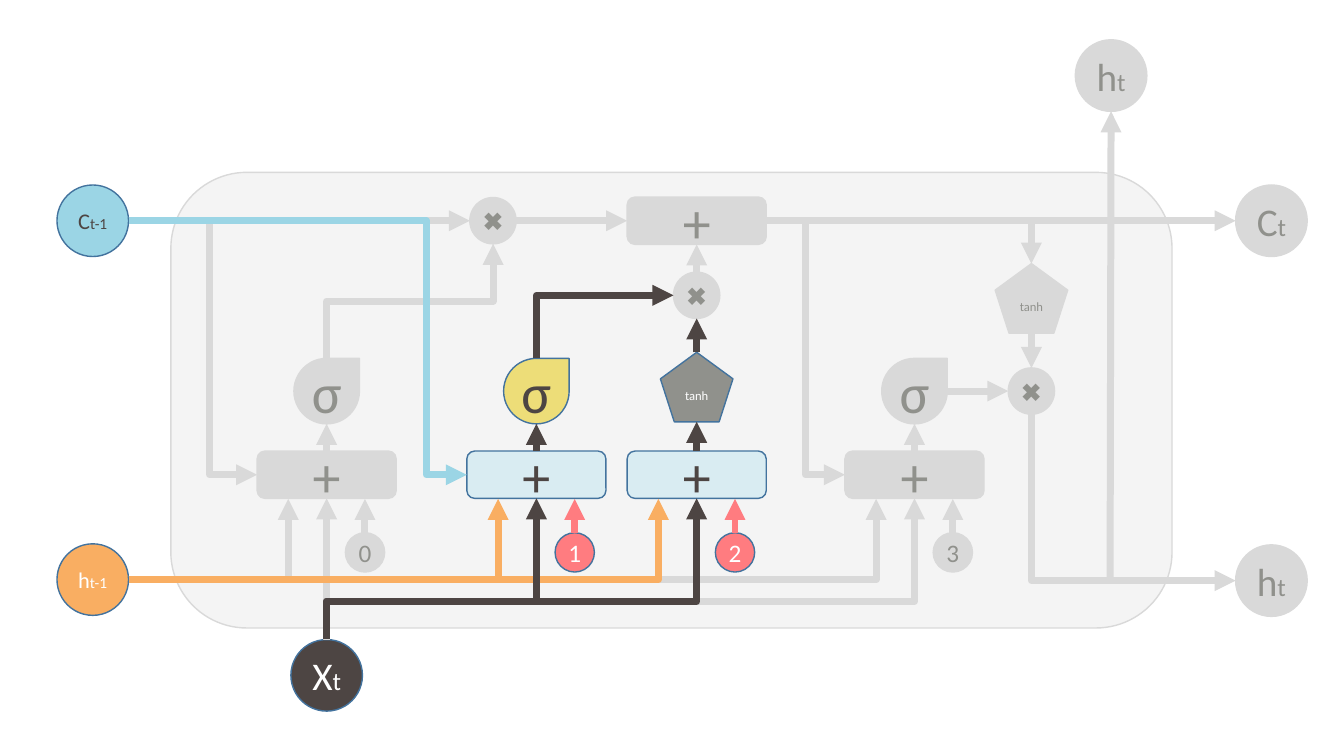
from lxml import etree
from pptx import Presentation
from pptx.dml.color import RGBColor
from pptx.enum.shapes import MSO_CONNECTOR, MSO_SHAPE
from pptx.enum.text import MSO_ANCHOR, PP_ALIGN
from pptx.oxml.ns import qn
from pptx.util import Inches, Pt

WHITE = RGBColor(0xFF, 0xFF, 0xFF)
PANEL = RGBColor(0xF4, 0xF4, 0xF4)
GREY = RGBColor(0xD9, 0xD9, 0xD9)
DIM = RGBColor(0x90, 0x91, 0x8C)
DARK = RGBColor(0x4D, 0x45, 0x43)
OUTLINE = RGBColor(0x43, 0x73, 0x9E)
BLUE = RGBColor(0x9B, 0xD5, 0xE5)
PALE_BLUE = RGBColor(0xD9, 0xEC, 0xF2)
ORANGE = RGBColor(0xF9, 0xAE, 0x62)
RED = RGBColor(0xFF, 0x7C, 0x80)
YELLOW = RGBColor(0xED, 0xDD, 0x78)

BOX = MSO_SHAPE.ROUNDED_RECTANGLE
CIRCLE = MSO_SHAPE.OVAL
TEAR = MSO_SHAPE.TEAR
PENTAGON = MSO_SHAPE.REGULAR_PENTAGON
STRAIGHT = MSO_CONNECTOR.STRAIGHT
ELBOW = MSO_CONNECTOR.ELBOW
CENTER = PP_ALIGN.CENTER
MIDDLE = MSO_ANCHOR.MIDDLE

# Position of each side as a fraction of the shape's width and height
SIDES = {"top": (0.5, 0), "left": (0, 0.5), "bottom": (0.5, 1), "right": (1, 0.5)}
# Connection site numbers of each preset
SITES = {
    BOX: {"top": 0, "left": 1, "bottom": 2, "right": 3},
    CIRCLE: {"top": 0, "left": 2, "bottom": 4, "right": 6},
    TEAR: {"right": 0, "bottom": 2, "left": 4, "top": 6},
    PENTAGON: {"top": 0, "bottom": 3},
}


class Diagram:
    """Holds the style and the slide being drawn."""

    font = "Calibri"
    outline_width = Pt(1)
    arrow_width = Pt(5)

    def __init__(self, slide):
        """Start drawing on the slide."""
        self.slide = slide

    def node(self, kind, center, size, runs=(), fill=GREY, ink=DIM, line=None):
        """Add a preset shape by centre and size; runs are (text, points)."""
        (x, y), (width, height) = center, size
        shape = self.slide.shapes.add_shape(
            kind, Inches(x - width / 2), Inches(y - height / 2),
            Inches(width), Inches(height))
        shape.shadow.inherit = False
        shape.fill.solid()
        shape.fill.fore_color.rgb = fill
        shape.line.color.rgb = line or (GREY if fill in (GREY, PANEL) else OUTLINE)
        shape.line.width = self.outline_width
        frame = shape.text_frame
        frame.margin_left = frame.margin_right = 0
        frame.margin_top = frame.margin_bottom = 0
        frame.word_wrap = False
        frame.vertical_anchor = MIDDLE
        paragraph = frame.paragraphs[0]
        paragraph.alignment = CENTER
        for text, points in runs:
            run = paragraph.add_run()
            run.text = text
            run.font.name = self.font
            run.font.size = Pt(points)
            run.font.color.rgb = ink
        return shape

    def state(self, letter, index, center, fill=GREY, ink=DIM, sizes=(28, 18)):
        """Add a round input or output with a small index."""
        return self.node(CIRCLE, center, (0.71, 0.71),
                         [(letter, sizes[0]), (index, sizes[1])], fill, ink)

    def plus(self, center, fill=GREY, ink=DIM):
        """Add an addition box."""
        return self.node(BOX, center, (1.38, 0.47), [("+", 40)], fill, ink)

    def times(self, center):
        """Add a multiplication circle."""
        return self.node(CIRCLE, center, (0.46, 0.46), [("✖", 18)])

    def sigmoid(self, center, fill=GREY, ink=DIM):
        """Add a sigmoid drop."""
        return self.node(TEAR, center, (0.65, 0.65), [("σ", 40)], fill, ink)

    def tanh(self, center, fill=GREY, ink=DIM):
        """Add a tanh pentagon."""
        return self.node(PENTAGON, center, (0.72, 0.69), [("tanh", 9)], fill, ink)

    def locate(self, end):
        """Return the point of an end: (shape, side) or (x, y) in inches."""
        if end[1] not in SIDES:
            return Inches(end[0]), Inches(end[1])
        shape, side = end
        across, down = SIDES[side]
        return (shape.left + round(shape.width * across),
                shape.top + round(shape.height * down))

    def arrow(self, start, end, color=GREY):
        """Add a straight arrow."""
        return self.finish(self.slide.shapes.add_connector(
            STRAIGHT, *self.locate(start), *self.locate(end)), start, end, color)

    def elbow(self, start, end, color=GREY, bend=None, vertical=False):
        """Add an elbow arrow; without a bend it has a single corner."""
        (x1, y1), (x2, y2) = self.locate(start), self.locate(end)
        if vertical:
            # The box is laid on its side around the same centre
            width, height = abs(y2 - y1), abs(x2 - x1)
            left, top = (x1 + x2 - width) // 2, (y1 + y2 - height) // 2
            connector = self.slide.shapes.add_connector(
                ELBOW, left, top, left + width, top + height)
            frame = connector._element.spPr.find(qn("a:xfrm"))
            rising = y2 < y1
            frame.set("rot", str((90 if rising else 270) * 60000))
            frame.set("flipH", "1")
            if rising:
                frame.set("flipV", "1")
        else:
            connector = self.slide.shapes.add_connector(ELBOW, x1, y1, x2, y2)
        geometry = connector._element.spPr.find(qn("a:prstGeom"))
        if bend is None:
            geometry.set("prst", "bentConnector2")
        else:
            etree.SubElement(geometry.find(qn("a:avLst")), qn("a:gd"),
                             name="adj1", fmla=f"val {round(bend * 100000)}")
        return self.finish(connector, start, end, color)

    def finish(self, connector, start, end, color):
        """Style a connector, add its arrowhead and attach its ends."""
        connector.line.color.rgb = color
        connector.line.width = self.arrow_width
        properties = connector._element.spPr
        etree.SubElement(properties.find(qn("a:ln")), qn("a:tailEnd"), type="triangle")
        etree.SubElement(properties, qn("a:effectLst"))
        links = connector._element.nvCxnSpPr.cNvCxnSpPr
        for tag, (shape, side) in (("a:stCxn", start), ("a:endCxn", end)):
            if side in SIDES:
                etree.SubElement(links, qn(tag), id=str(shape.shape_id),
                                 idx=str(SITES[shape.auto_shape_type][side]))
        return connector


presentation = Presentation()
presentation.slide_width, presentation.slide_height = Inches(13.33), Inches(7.5)
diagram = Diagram(presentation.slides.add_slide(presentation.slide_layouts[6]))

# Cell and its inputs and outputs
CELL_Y, HIDDEN_Y, GATE_Y, BIAS_Y, SIGMA_Y = 2.19, 5.75, 4.71, 5.48, 3.88
COLUMNS = (3.24, 5.32, 6.91, 9.07)
SIDE_STEP = 0.38
OUTPUT_X = 10.23
diagram.node(BOX, (6.66, 3.97), (9.93, 4.52), fill=PANEL)
x_input = diagram.state("X", "t", (COLUMNS[0], 6.7), DARK, WHITE)
h_input = diagram.state("h", "t-1", (0.92, HIDDEN_Y), ORANGE, WHITE, (16, 11))
c_input = diagram.state("C", "t-1", (0.92, CELL_Y), BLUE, DARK, (16, 11))
c_output = diagram.state("C", "t", (12.61, CELL_Y))
h_output = diagram.state("h", "t", (12.61, 5.76))
h_top = diagram.state("h", "t", (11.02, 0.75))

# Gates with their biases; the two in the middle are active
gates, biases = [], []
for number, x in enumerate(COLUMNS):
    active = number in (1, 2)
    gates.append(diagram.plus((x, GATE_Y), *((PALE_BLUE, DARK) if active else ())))
    biases.append(diagram.node(
        CIRCLE, (x + SIDE_STEP, BIAS_Y), (0.39, 0.39), [(str(number), 18)],
        *((RED, WHITE) if active else ())))
forget = diagram.sigmoid((COLUMNS[0], SIGMA_Y))
update = diagram.sigmoid((COLUMNS[1], SIGMA_Y), YELLOW, DARK)
candidate = diagram.tanh((COLUMNS[2], 3.84), DIM, WHITE)
expose = diagram.sigmoid((COLUMNS[3], SIGMA_Y))
forget_times = diagram.times((4.89, CELL_Y))
update_times = diagram.times((COLUMNS[2], 2.93))
output_times = diagram.times((OUTPUT_X, SIGMA_Y))
cell_plus = diagram.plus((COLUMNS[2], CELL_Y))
cell_tanh = diagram.tanh((OUTPUT_X, 2.96))

# Inactive paths
for start, end in (
        ((x_input, "top"), (gates[0], "bottom")),
        ((c_input, "right"), (forget_times, "left")),
        ((forget_times, "right"), (cell_plus, "left")),
        ((update_times, "top"), (cell_plus, "bottom")),
        ((cell_plus, "right"), (c_output, "left")),
        ((cell_tanh, "bottom"), (output_times, "top")),
        ((expose, "right"), (output_times, "left")),
        ((11.01, HIDDEN_Y), (h_top, "bottom"))):
    diagram.arrow(start, end)
diagram.elbow((cell_plus, "right"), (cell_tanh, "top"))
diagram.elbow((output_times, "bottom"), (h_output, "left"), vertical=True)
diagram.elbow((forget, "top"), (forget_times, "bottom"), bend=0.5, vertical=True)
diagram.elbow((c_input, "right"), (gates[0], "left"), bend=0.63)
diagram.elbow((cell_plus, "right"), (gates[3], "left"), bend=0.5)

# Inputs of every gate, the inactive ones first
diagram.elbow((c_input, "right"), (gates[1], "left"), BLUE, bend=0.88)
for number in (0, 3, 1, 2):
    active = number in (1, 2)
    gate, x = gates[number], COLUMNS[number]
    diagram.elbow((h_input, "right"), (x - SIDE_STEP, 4.95),
                  ORANGE if active else GREY, bend=1)
    diagram.arrow((biases[number], "top"), (x + SIDE_STEP, 4.95), RED if active else GREY)
    diagram.arrow((gate, "top"), ((forget, update, candidate, expose)[number], "bottom"),
                  DARK if active else GREY)
for number, color in ((3, GREY), (1, DARK), (2, DARK)):
    diagram.elbow((x_input, "top"), (gates[number], "bottom"), color, 0.27, True)
diagram.elbow((update, "top"), (update_times, "left"), DARK, vertical=True)
diagram.arrow((candidate, "top"), (update_times, "bottom"), DARK)

presentation.save("out.pptx")
